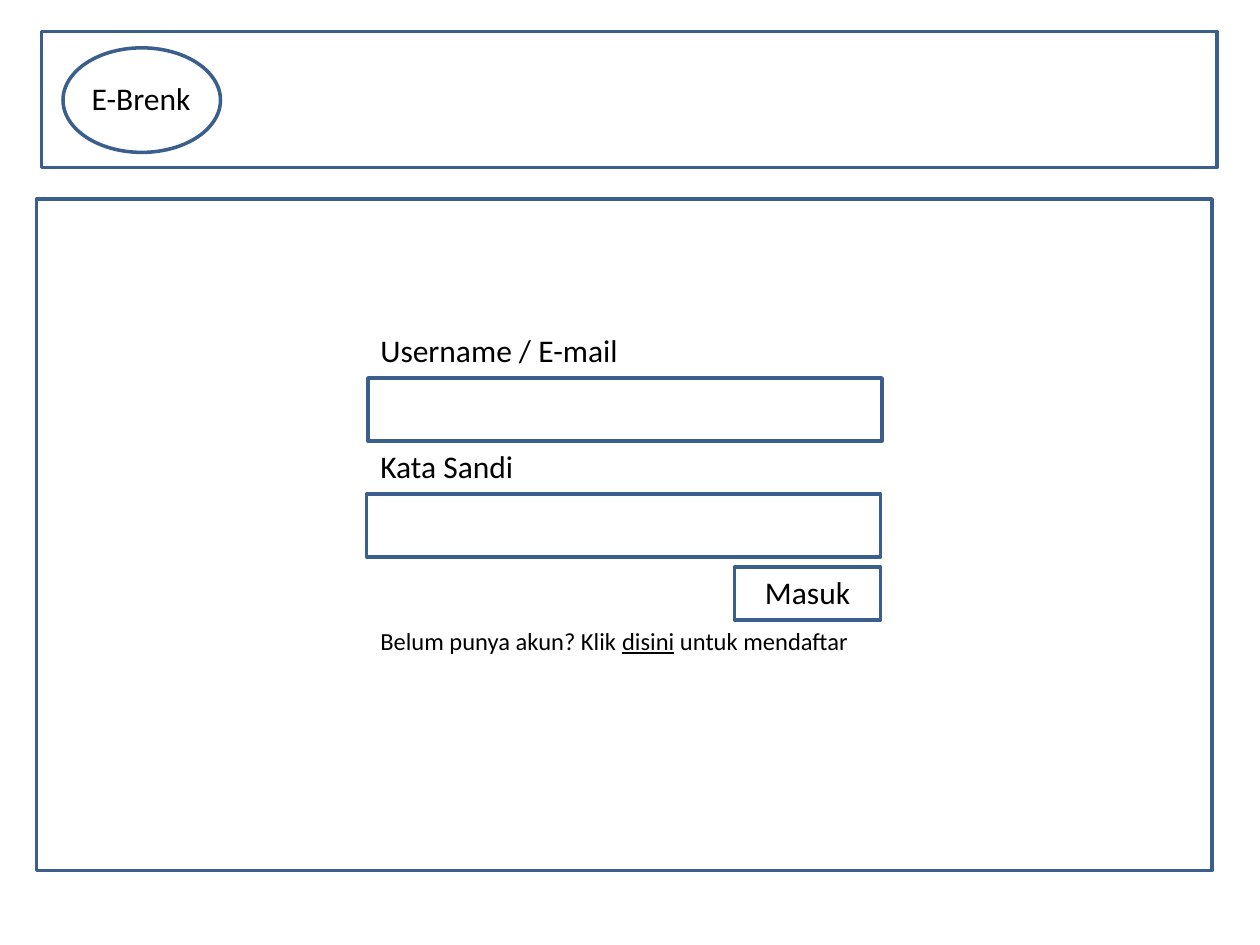
"""Build a login page wireframe slide."""
from dataclasses import dataclass

from pptx import Presentation
from pptx import util as u
from pptx.dml.color import RGBColor
from pptx.enum import shapes, text


@dataclass(frozen=True)
class Theme:
    """Colours, font and sizes used on the slide."""
    outline: RGBColor = RGBColor(0x3A, 0x5F, 0x8C)
    paper: RGBColor = RGBColor(0xFF, 0xFF, 0xFF)
    ink: RGBColor = RGBColor(0, 0, 0)
    font: str = "Calibri"
    body: int = 18
    small: int = 14
    stroke: int = 2


THEME = Theme()
RECTANGLE = shapes.MSO_SHAPE.RECTANGLE
OVAL = shapes.MSO_SHAPE.OVAL


def add_outline(slide, box, kind=RECTANGLE):
    """Draw an outlined shape in box (left, top, width, height in inches)."""
    shape = slide.shapes.add_shape(kind, *map(u.Inches, box))
    shape.shadow.inherit = False
    shape.fill.solid()
    shape.fill.fore_color.rgb = THEME.paper
    shape.line.color.rgb = THEME.outline
    shape.line.width = u.Pt(THEME.stroke)


def add_label(slide, box, *parts, size=THEME.body, align=text.PP_ALIGN.LEFT, underlined=None):
    """Write one paragraph of parts, underlining the part equal to underlined."""
    text_frame = slide.shapes.add_textbox(*map(u.Inches, box)).text_frame
    text_frame.word_wrap = True
    text_frame.auto_size = text.MSO_AUTO_SIZE.SHAPE_TO_FIT_TEXT
    paragraph = text_frame.paragraphs[0]
    paragraph.alignment = align
    for part in parts:
        run = paragraph.add_run()
        run.text = part
        run.font.name = THEME.font
        run.font.size = u.Pt(size)
        run.font.color.rgb = THEME.ink
        if part == underlined:
            run.font.underline = True


def add_header(slide, box):
    """Draw the header bar with its oval site name."""
    left, top, _, _ = box
    add_outline(slide, box)
    add_outline(slide, (left + 0.17, top + 0.13, 1.25, 0.83), OVAL)
    add_label(slide, (left + 0.25, top + 0.33, 1.08, 0.42), "E-Brenk",
              align=text.PP_ALIGN.CENTER)


def add_field(slide, box, caption, shift=0):
    """Draw a caption above an input box, which may be shifted sideways."""
    left, top, width, height = box
    input_height = 0.5
    add_outline(slide, (left + shift, top + height - input_height, width, input_height))
    add_label(slide, (left, top, 2.59, 0.4), caption)


def add_button(slide, box, caption):
    """Draw a button with a centred caption."""
    add_outline(slide, box)
    add_label(slide, box, caption, align=text.PP_ALIGN.CENTER)


def add_login_form(slide, box):
    """Draw the two fields, the button and the sign-up line."""
    left, top, width, _ = box
    field_height = 0.92
    fields = (("Username / E-mail", 0), ("Kata Sandi", -0.01))
    for index, (caption, shift) in enumerate(fields):
        field_top = top + index * field_height
        add_field(slide, (left, field_top, width, field_height), caption, shift)
    button_width = 1.16
    add_button(slide, (left + width - button_width - 0.01, top + 1.92, button_width, 0.42), "Masuk")
    add_label(slide, (left, top + 2.34, 4.84, 0.34), "Belum punya akun? Klik ", "disini",
              " untuk mendaftar", size=THEME.small, underlined="disini")


def add_content(slide, box):
    """Draw the page body and the login form inside it."""
    left, top, _, _ = box
    add_outline(slide, box)
    add_login_form(slide, (left + 2.63, top + 1, 4.08, 2.68))


def main():
    """Create and save the presentation."""
    presentation = Presentation()
    presentation.slide_width = u.Inches(10)
    presentation.slide_height = u.Inches(7.5)
    slide = presentation.slides.add_slide(presentation.slide_layouts[6])
    add_header(slide, (0.33, 0.25, 9.33, 1.08))
    add_content(slide, (0.29, 1.58, 9.33, 5.33))
    presentation.save("out.pptx")


main()
